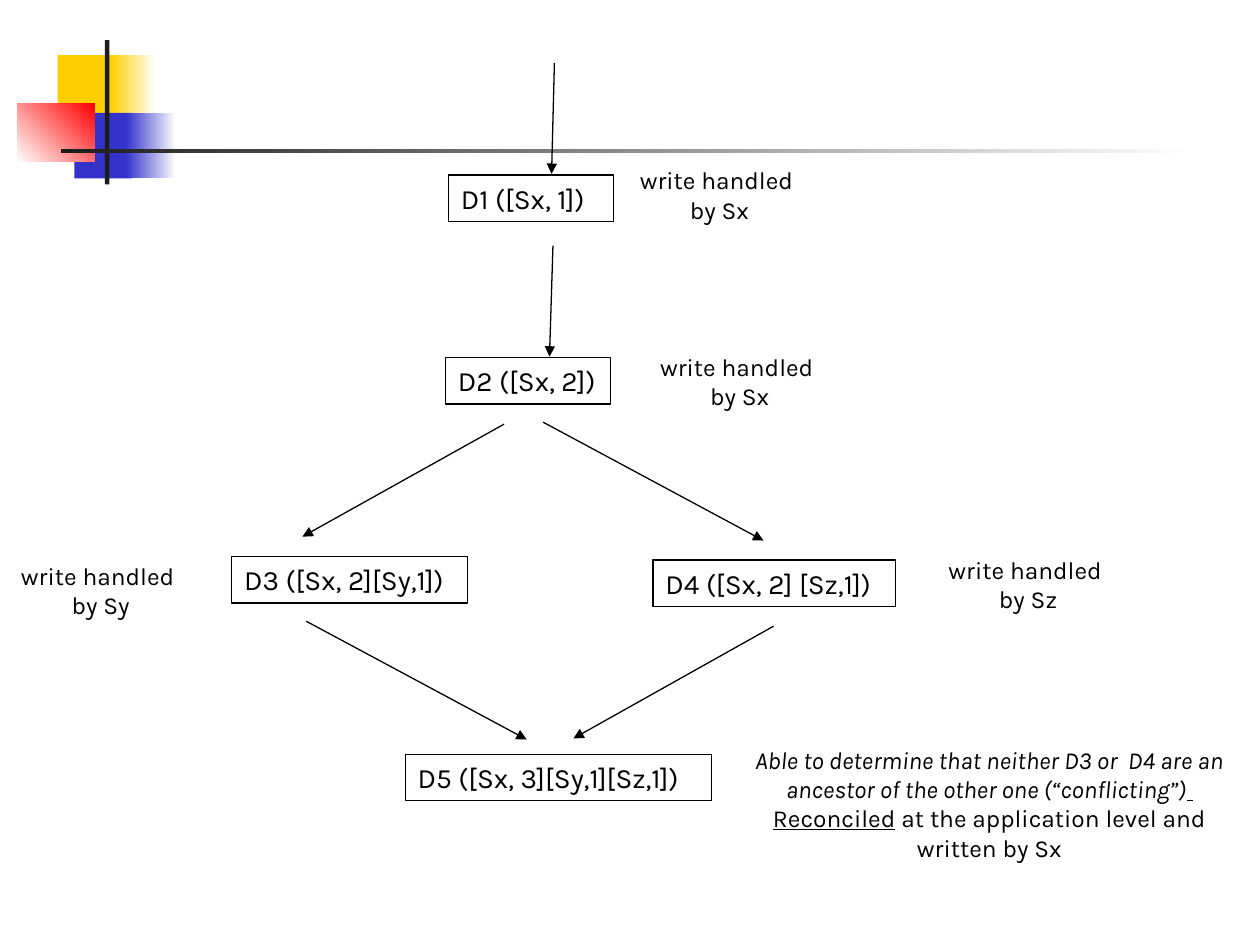
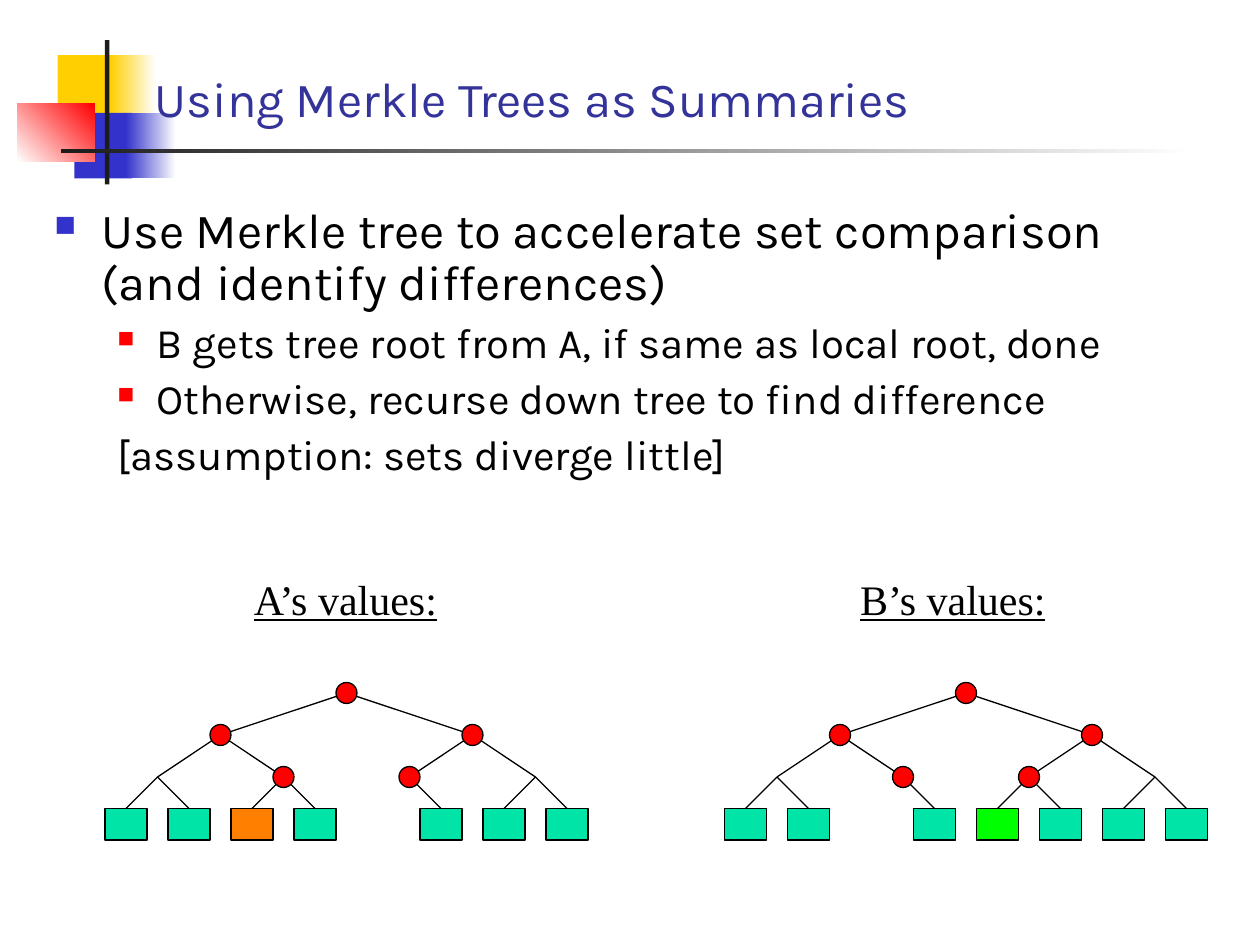
"""Build two slides: version history of an object, and Merkle tree comparison."""
from lxml.etree import SubElement
from pptx import Presentation
from pptx.dml.color import RGBColor
from pptx.enum.shapes import MSO_CONNECTOR, MSO_SHAPE
from pptx.enum.text import MSO_ANCHOR, PP_ALIGN
from pptx.oxml.ns import qn
from pptx.util import Pt

RECT, OVAL = MSO_SHAPE.RECTANGLE, MSO_SHAPE.OVAL
LINE = MSO_CONNECTOR.STRAIGHT
LEFT, MID = PP_ALIGN.LEFT, PP_ALIGN.CENTER
LOW = MSO_ANCHOR.BOTTOM
FONT, SERIF = "Karla", "Times New Roman"
HUES = {
    "black": "000000", "white": "FFFFFF", "ink": "1C1C1C", "gold": "FFCF01",
    "blue": "3333CC", "red": "FF0000", "title": "333399",
    "teal": "00E4A8", "orange": "FF8000", "green": "00FF00",
}
RGB = {name: RGBColor.from_string(code) for name, code in HUES.items()}


def form(page, spot, fill=None, edge=True, kind=RECT):
    """Add a preset shape with a plain fill or none, and a thin edge if asked."""
    item = page.shapes.add_shape(kind, *map(Pt, spot))
    item.shadow.inherit = False
    if fill:
        item.fill.solid()
        item.fill.fore_color.rgb = RGB[fill]
    else:
        item.fill.background()
    if edge:
        item.line.color.rgb = RGB["black"]
        item.line.width = Pt(0.75)
    else:
        item.line.fill.background()
    return item


def link(page, ends, head=False):
    """Add a thin black line, with an arrowhead at its end if asked."""
    item = page.shapes.add_connector(LINE, *map(Pt, ends))
    item.line.color.rgb = RGB["black"]
    item.line.width = Pt(0.75)
    props = item.element.spPr
    if head:
        SubElement(props.find(qn("a:ln")), qn("a:tailEnd"), type="triangle")
    SubElement(props, qn("a:effectLst"))
    return item


deck = Presentation()
deck.slide_width, deck.slide_height = Pt(720), Pt(540)
pages = [deck.slides.add_slide(deck.slide_layouts[6]) for _ in range(2)]

DECOR = [
    ((33, 31.5, 34.5, 37.5), "gold", None, 0),
    ((63, 31.5, 26, 37.5), "gold", "white", 0),
    ((42.5, 64.5, 33, 37.5), "blue", None, 0),
    ((72, 64.5, 28.5, 37.5), "blue", "white", 0),
    ((10, 59, 44, 33.5), "white", "red", 45),
    ((60, 23, 2.5, 82.5), "ink", None, 0),
    ((35, 85, 648, 2.5), "ink", "white", 0),
]
for page in pages:
    for spot, start, end, angle in DECOR:
        item = form(page, spot, start, edge=False)
        if end:
            item.fill.gradient()
            item.fill.gradient_angle = angle
            for stop, hue in zip(item.fill.gradient_stops, (start, end)):
                stop.color.rgb = RGB[hue]

graph, trees = pages

STATES = [
    ("D1 ([Sx, 1])", 256.3, 100.1, 94.3),
    ("D2 ([Sx, 2])", 254.6, 204.3, 94.3),
    ("D3 ([Sx, 2][Sy,1])", 132.5, 318, 134.6),
    ("D4 ([Sx, 2] [Sz,1])", 373.2, 320, 138.5),
    ("D5 ([Sx, 3][Sy,1][Sz,1])", 231.6, 431, 175),
]
for text, left, top, width in STATES:
    frame = form(graph, (left, top, width, 26.6)).text_frame
    para = frame.paragraphs[0]
    para.text = text
    para.alignment = LEFT
    para.font.size, para.font.name = Pt(16), FONT
    para.font.color.rgb = RGB["black"]

ARROWS = [
    (316.8, 36, 315.2, 99.4), (316, 140.4, 314, 203.8),
    (288, 242.4, 172.8, 306.7), (310.3, 241.2, 436.3, 308.9),
    (442.1, 357.8, 327.6, 422), (175, 355, 301, 422.6),
]
for ends in ARROWS:
    link(graph, ends, head=True)

WRITE = [("write handled ", "")]
NOTES = [
    ((363.6, 94.4, 95, 33.8), [WRITE, [("by Sx", "")]]),
    ((375.2, 201, 95, 33.8), [WRITE, [("by Sx", "")]]),
    ((10, 320.4, 95, 33.8), [WRITE, [("by Sy", "")]]),
    ((540, 317, 95, 33.8), [WRITE, [("by Sz", "")]]),
    ((423.4, 425.5, 284, 67), [
        [("Able to determine that neither D3 or  D4 are an ancestor "
          "of the other one (“conflicting”)", "i"), (" ", "bu")],
        [("Reconciled", "u"),
         (" at the application level and written by Sx", "")],
    ]),
]
for spot, paras in NOTES:
    frame = graph.shapes.add_textbox(*map(Pt, spot)).text_frame
    frame.word_wrap = True
    frame.margin_left = frame.margin_right = 0
    frame.margin_top = frame.margin_bottom = 0
    for row, parts in enumerate(paras):
        para = frame.add_paragraph() if row else frame.paragraphs[0]
        para.alignment = MID
        para.font.size, para.font.name = Pt(14), FONT
        para.font.color.rgb = RGB["black"]
        for text, style in parts:
            run = para.add_run()
            run.text = text
            if "i" in style:
                run.font.italic = True
            if "b" in style:
                run.font.bold = True
            if "u" in style:
                run.font.underline = True

HEADS = [
    ("Using Merkle Trees as Summaries", (81.4, 10, 638, 66.3), 28, FONT, "title"),
    ("A’s values:", (138, 324, 123.5, 36), 24, SERIF, "black"),
    ("B’s values:", (484.4, 324, 123.5, 36), 24, SERIF, "black"),
]
for text, spot, size, face, hue in HEADS:
    frame = trees.shapes.add_textbox(*map(Pt, spot)).text_frame
    frame.word_wrap = True
    frame.vertical_anchor = LOW
    para = frame.paragraphs[0]
    para.text = text
    para.font.size, para.font.name = Pt(size), face
    para.font.color.rgb = RGB[hue]
    if face == SERIF:
        para.font.underline = True

POINTS = [
    ("Use Merkle tree to accelerate set comparison (and identify differences)",
     28, 27, -27, 0, "blue", 60),
    ("B gets tree root from A, if same as local root, done",
     24, 58.5, -22.5, 6, "red", 55),
    ("Otherwise, recurse down tree to find difference",
     24, 58.5, -22.5, 6, "red", 55),
    ("[assumption: sets diverge little]", 24, 58.5, -22.5, 6, None, 0),
]
frame = trees.shapes.add_textbox(Pt(24), Pt(114), Pt(678), Pt(210)).text_frame
frame.word_wrap = True
for row, (text, size, left, hang, gap, hue, scale) in enumerate(POINTS):
    para = frame.add_paragraph() if row else frame.paragraphs[0]
    para.text = text
    para.line_spacing, para.space_before = 0.9, Pt(gap)
    props = para._p.get_or_add_pPr()
    props.set("marL", str(Pt(left)))
    props.set("indent", str(Pt(hang)))
    if hue:
        tint = SubElement(props, qn("a:buClr"))
        SubElement(tint, qn("a:srgbClr"), val=HUES[hue])
        SubElement(props, qn("a:buSzPct"), val=str(scale * 1000))
        SubElement(props, qn("a:buChar"), char="■")
    else:
        SubElement(props, qn("a:buNone"))
    para.font.size, para.font.name = Pt(size), FONT
    para.font.color.rgb = RGB["black"]

STEP = 36
ROOT, UPPER, LOWER, BASE = 396, 420, 444, 462
TREES = [(72, 4, 2, "orange"), (426, 2, 4, "green")]
for start, gap, odd, hue in TREES:
    root = start + 3.5 * STEP
    uppers = [start + (1.5 + 4 * num) * STEP for num in range(2)]
    lowers = [start + (0.5 + 2 * num) * STEP for num in range(4)]
    for num in range(8):
        if num == gap:
            continue
        mid = start + num * STEP
        leaf = form(trees, (mid - 12, BASE, 24, 18), hue if num == odd else "teal")
        link(trees, (mid, BASE, lowers[num // 2], LOWER)).begin_connect(leaf, 0)
    for num, mid in enumerate(lowers):
        link(trees, (uppers[num // 2], UPPER, mid, LOWER))
    for mid in uppers:
        link(trees, (mid, UPPER, root, ROOT))
    nodes = [(root, ROOT)] + [(mid, UPPER) for mid in uppers]
    nodes += [(mid, LOWER) for mid in lowers[1:3]]
    for mid, high in nodes:
        form(trees, (mid - 6, high - 6, 12, 12), "red", kind=OVAL)

deck.save("out.pptx")
